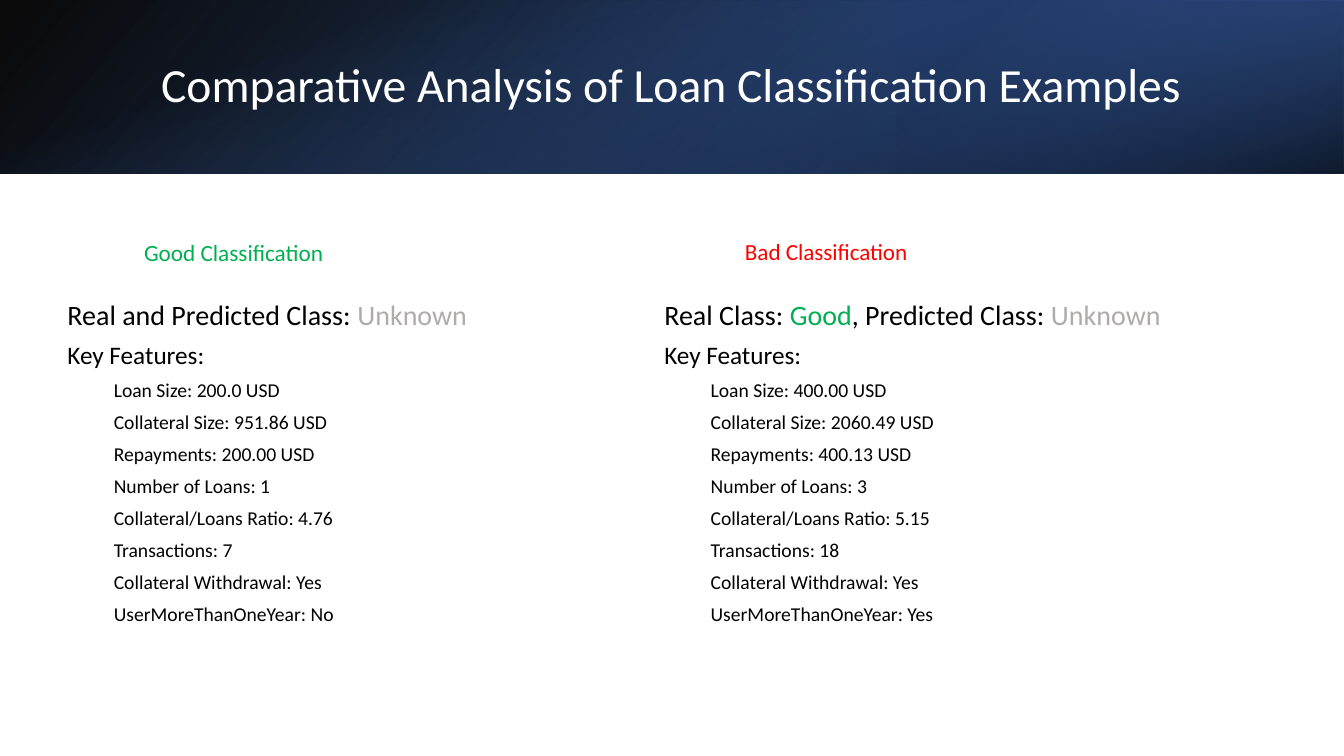
import pptx
import pptx.dml.color
import pptx.enum.shapes
import pptx.enum.text
import pptx.oxml
import pptx.oxml.ns
import pptx.util

PX = 9144
FONT = "Calibri"
BLACK, WHITE, GREEN, RED, GRAY = "000000", "FFFFFF", "00B050", "FF0000", "AFABAB"

TITLE = "Comparative Analysis of Loan Classification Examples"
TITLE_BOX = (150, 38, 1098, 96)

BANDS = [
    dict(box=(0, 0, 1333, 172), rot=0, flip=True, angle=140,
         stops=[(0, BLACK, 96), (100, "2F5597", 100)]),
    dict(box=(889, 0, 444, 172), rot=180, flip=True, angle=320,
         stops=[(19, "203864", 68), (100, "4472C4", 79)]),
    dict(box=(580, -580, 172, 1333), rot=90, flip=False, angle=340,
         stops=[(23, "4472C4", 0), (99, BLACK, 74)]),
]

FEATURES = ["Loan Size", "Collateral Size", "Repayments", "Number of Loans",
            "Collateral/Loans Ratio", "Transactions", "Collateral Withdrawal",
            "UserMoreThanOneYear"]

EXAMPLES = [
    dict(heading="Good Classification", color=GREEN, size=16.6,
         heading_box=(133, 231, 525, 84), box=(57, 290, 525, 375),
         classes=[("Real and Predicted Class: ", BLACK), ("Unknown", GRAY)],
         values=["200.0 USD", "951.86 USD", "200.00 USD", "1", "4.76", "7", "Yes", "No"]),
    dict(heading="Bad Classification", color=RED, size=16.5,
         heading_box=(729, 231, 525, 84), box=(649, 290, 527, 375),
         classes=[("Real Class: ", BLACK), ("Good", GREEN),
                  (", Predicted Class: ", BLACK), ("Unknown", GRAY)],
         values=["400.00 USD", "2060.49 USD", "400.13 USD", "3", "5.15", "18", "Yes", "Yes"]),
]


def rgb(color):
    return pptx.dml.color.RGBColor.from_string(color)


def emu(box):
    return [v * PX for v in box]


def add_band(slide, box, rot, flip, angle, stops):
    sp = slide.shapes.add_shape(pptx.enum.shapes.MSO_SHAPE.RECTANGLE, *emu(box))
    sp.shadow.inherit = False
    sp.rotation = rot
    sp.line.fill.background()
    sp.fill.background()
    props = sp._element.spPr
    if flip:
        props.find(pptx.oxml.ns.qn("a:xfrm")).set("flipH", "1")
    gs = "".join(
        f'<a:gs pos="{pos * 1000}"><a:srgbClr val="{color}">'
        f'<a:alpha val="{alpha * 1000}"/></a:srgbClr></a:gs>'
        for pos, color, alpha in stops)
    grad = pptx.oxml.parse_xml(
        f'<a:gradFill {pptx.oxml.ns.nsdecls("a")} rotWithShape="1"><a:gsLst>{gs}</a:gsLst>'
        f'<a:lin ang="{angle * 60000}" scaled="0"/></a:gradFill>')
    props.replace(props.find(pptx.oxml.ns.qn("a:noFill")), grad)


def add_text(slide, box, lines, after=6, spacing=1.0, anchor="TOP"):
    tf = slide.shapes.add_textbox(*emu(box)).text_frame
    tf.word_wrap = True
    tf.vertical_anchor = pptx.enum.text.MSO_ANCHOR[anchor]
    for i, (size, level, runs) in enumerate(lines):
        p = tf.add_paragraph() if i else tf.paragraphs[0]
        p.space_after = pptx.util.Pt(after)
        p.line_spacing = spacing
        if level:
            p.level = level
            ppr = p._p.get_or_add_pPr()
            ppr.set("marL", str(46 * PX))
            ppr.set("indent", "0")
        for text, color in runs:
            r = p.add_run()
            r.text = text
            r.font.name = FONT
            r.font.size = pptx.util.Pt(size)
            r.font.color.rgb = rgb(color)


def main():
    prs = pptx.Presentation()
    prs.slide_width, prs.slide_height = emu((1333, 750))
    slide = prs.slides.add_slide(prs.slide_layouts[6])
    for band in BANDS:
        add_band(slide, **band)
    add_text(slide, TITLE_BOX, [(34, 0, [(TITLE, WHITE)])],
             after=0, spacing=0.9, anchor="MIDDLE")
    for ex in EXAMPLES:
        add_text(slide, ex["heading_box"], [(ex["size"], 0, [(ex["heading"], ex["color"])])])
        lines = [(20, 0, ex["classes"]), (18, 0, [("Key Features:", BLACK)])]
        lines += [(14, 1, [(f"{name}: {value}", BLACK)])
                  for name, value in zip(FEATURES, ex["values"])]
        add_text(slide, ex["box"], lines)
    prs.save("out.pptx")


if __name__ == "__main__":
    main()
